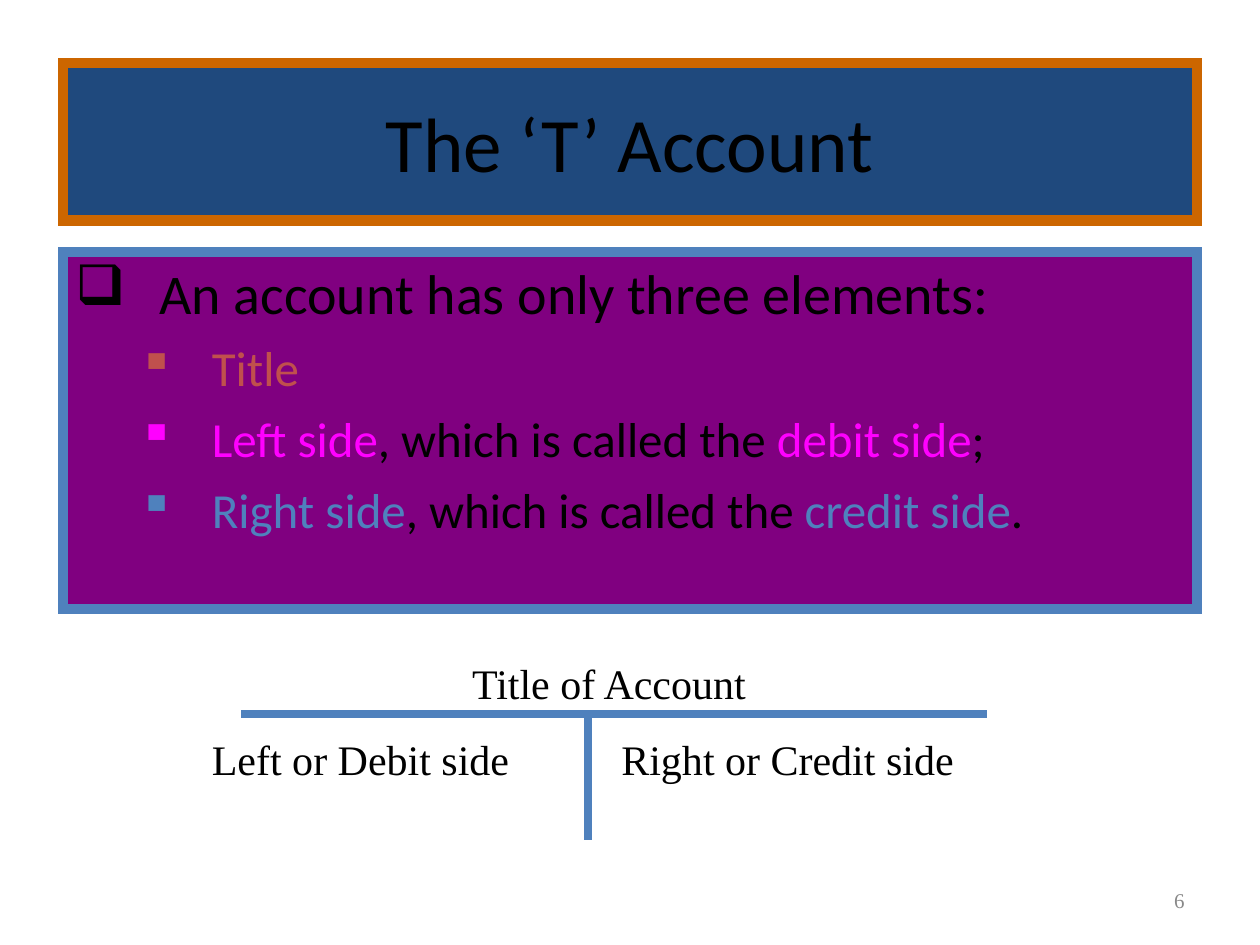
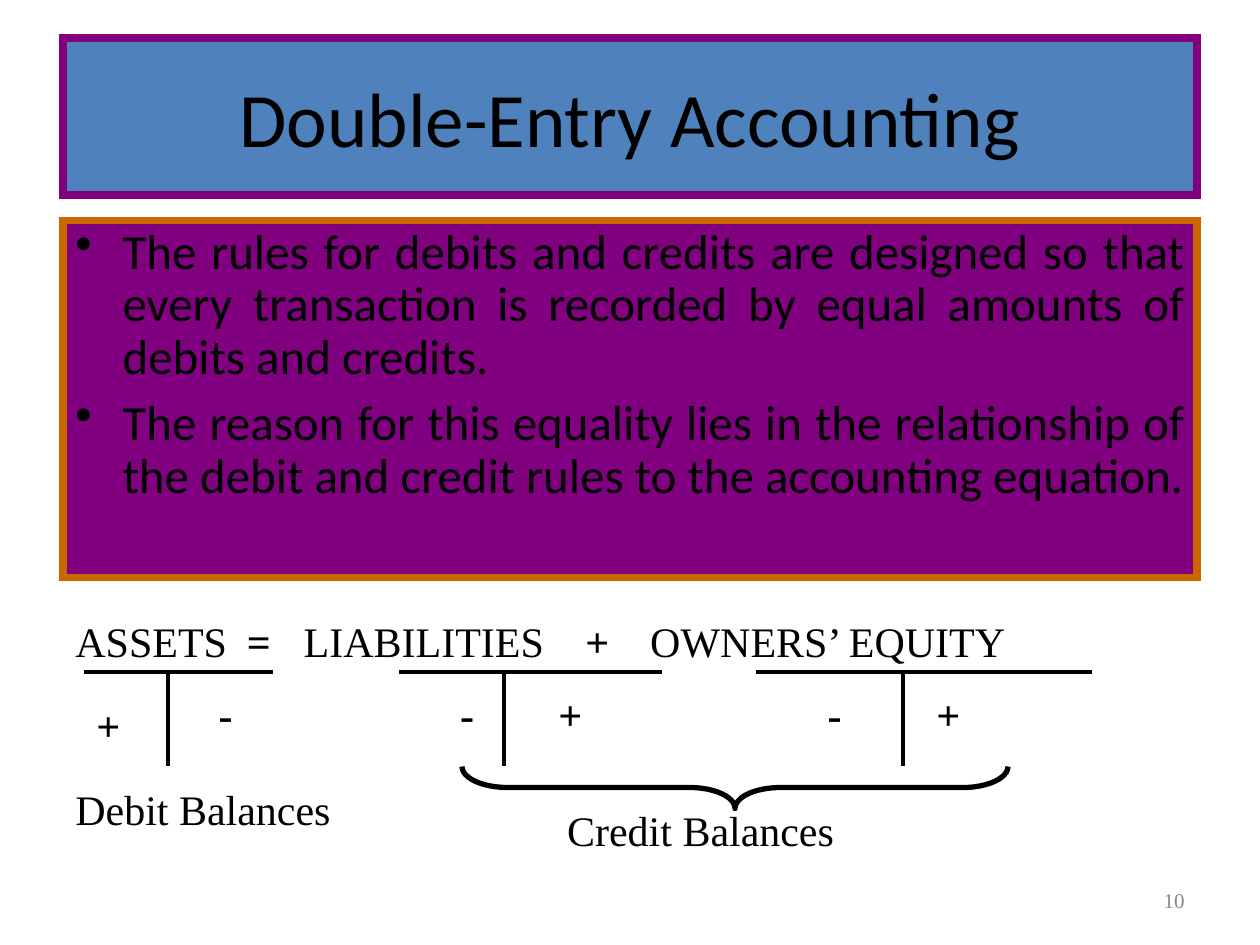
from lxml import etree
from pptx import Presentation
from pptx.dml.color import RGBColor
from pptx.enum import shapes, text
from pptx.oxml import ns
from pptx.util import Pt

BLACK = RGBColor(0x00, 0x00, 0x00)
NAVY = RGBColor(0x1F, 0x49, 0x7D)
BLUE = RGBColor(0x4F, 0x81, 0xBD)
PURPLE = RGBColor(0x80, 0x00, 0x80)
ORANGE = RGBColor(0xCC, 0x66, 0x00)
RED = RGBColor(0xC0, 0x50, 0x4D)
MAGENTA = RGBColor(0xFF, 0x00, 0xFF)
GREY = RGBColor(0x89, 0x89, 0x89)
SANS, SERIF = "Calibri", "Times New Roman"
ALIGN = text.PP_ALIGN


def add_element(parent, tag, **attributes):
    values = {key: str(value) for key, value in attributes.items()}
    return etree.SubElement(parent, ns.qn(tag), values)


class Lesson:
    """Holds the shared style and the current slide of the accounting lesson."""

    left, width = 36, 648

    def __init__(self):
        self.deck = Presentation()
        self.deck.slide_width, self.deck.slide_height = Pt(720), Pt(540)
        self.page = None

    def start(self, title, top, fill, border, weight, number):
        self.page = self.deck.slides.add_slide(self.deck.slide_layouts[6])
        frame = self.panel(top, 90, fill, border, weight)
        frame.vertical_anchor = text.MSO_ANCHOR.MIDDLE
        self.paragraph(frame, [title], size=44, font=SANS, alignment=ALIGN.CENTER)
        self.label([str(number)], 516, 500, 168, 29, size=12, colour=GREY,
                   anchor=text.MSO_ANCHOR.MIDDLE, alignment=ALIGN.RIGHT)

    def panel(self, top, height, fill, border, weight):
        box = self.page.shapes.add_shape(
            shapes.MSO_SHAPE.RECTANGLE, Pt(self.left), Pt(top), Pt(self.width), Pt(height))
        box.shadow.inherit = False
        box.fill.solid()
        box.fill.fore_color.rgb = fill
        box.line.color.rgb = border
        box.line.width = Pt(weight)
        add_element(box.line._get_or_add_ln(), "a:miter", lim=800000)
        box.text_frame.vertical_anchor = text.MSO_ANCHOR.TOP
        return box.text_frame

    def label(self, spans, left, top, width, height=36,
              anchor=text.MSO_ANCHOR.TOP, **style):
        box = self.page.shapes.add_textbox(Pt(left), Pt(top), Pt(width), Pt(height))
        box.text_frame.word_wrap = True
        box.text_frame.vertical_anchor = anchor
        self.paragraph(box.text_frame, spans, **style)
        return box.text_frame

    def paragraph(self, frame, spans, size=24, font=SERIF, colour=BLACK, bold=False,
                  bullet=None, bullet_colour=BLACK, margin=0, hanging=0, tabs=(), **layout):
        fresh = len(frame.paragraphs) == 1 and not frame.paragraphs[0].runs
        para = frame.paragraphs[0] if fresh else frame.add_paragraph()
        if fresh:
            layout.pop("space_before", None)
        for name, value in {"alignment": ALIGN.LEFT, **layout}.items():
            setattr(para, name, value)
        properties = para._p.get_or_add_pPr()
        if bullet:
            properties.set("marL", str(Pt(margin)))
            properties.set("indent", str(-Pt(hanging)))
            add_element(add_element(properties, "a:buClr"), "a:srgbClr", val=bullet_colour)
            add_element(properties, "a:buChar", char=bullet)
        if tabs:
            stops = add_element(properties, "a:tabLst")
            for stop in tabs:
                add_element(stops, "a:tab", pos=Pt(stop), algn="l")
        for item in spans:
            words, changes = (item, {}) if isinstance(item, str) else item
            span = para.add_run()
            span.text = words
            look = {"name": font, "size": Pt(size), "bold": bold, "colour": colour, **changes}
            span.font.color.rgb = look.pop("colour")
            for name, value in look.items():
                setattr(span.font, name, value)

    def rule(self, x1, y1, x2, y2, colour, weight):
        line = self.page.shapes.add_connector(
            shapes.MSO_CONNECTOR.STRAIGHT, Pt(x1), Pt(y1), Pt(x2), Pt(y2))
        line.line.color.rgb = colour
        line.line.width = Pt(weight)
        add_element(line._element.spPr, "a:effectLst")

    def t_account(self, start, end, stem, top, depth, colour=BLACK, weight=2.25):
        self.rule(start, top, end, top, colour, weight)
        self.rule(stem, top, stem, top + depth, colour, weight)

    def brace(self, left, top, width, height):
        box = self.page.shapes.add_shape(
            shapes.MSO_SHAPE.RIGHT_BRACE, Pt(left), Pt(top), Pt(width), Pt(height))
        box.shadow.inherit = False
        box.rotation = 90
        box.adjustments[0] = 1.08
        box.fill.background()
        box.line.color.rgb = BLACK
        box.line.width = Pt(3)


def build_t_account(lesson):
    lesson.start("The ‘T’ Account", 36, NAVY, ORANGE, 6, 6)
    frame = lesson.panel(144, 204, PURPLE, BLUE, 6)
    lesson.paragraph(frame, ["An account has only three elements:"], size=32, font=SANS,
                     bullet="❑", margin=48, hanging=48)
    elements = [
        (RED, ["Title"]),
        (MAGENTA, ["Left side", ", which is called the ", "debit side", ";"]),
        (BLUE, ["Right side", ", which is called the ", "credit side", "."]),
    ]
    for colour, parts in elements:
        spans = [(part, {"colour": BLACK if index % 2 else colour})
                 for index, part in enumerate(parts)]
        lesson.paragraph(frame, spans, size=28, font=SANS, bullet="▪", bullet_colour=colour,
                         margin=78, hanging=42, space_before=Pt(7))
    frame = lesson.label(["Title of Account"], 114, 372, 468, 80, alignment=ALIGN.CENTER)
    lesson.paragraph(frame, ["Left or Debit side\tRight or Credit side"],
                     tabs=[234], space_before=Pt(15))
    lesson.t_account(138, 564, 336, 408, 72, BLUE, 4.5)


def build_double_entry(lesson):
    lesson.start("Double-Entry Accounting", 21.6, BLUE, PURPLE, 4.5, 10)
    frame = lesson.panel(126, 204, PURPLE, ORANGE, 4.5)
    for sentence in (
        "The rules for debits and credits are designed so that every transaction "
        "is recorded by equal amounts of debits and credits.",
        "The reason for this equality lies in the relationship of the debit and "
        "credit rules to the accounting equation.",
    ):
        lesson.paragraph(frame, [sentence], size=28, font=SANS, bullet="•", margin=27,
                         hanging=27, alignment=ALIGN.JUSTIFY, line_spacing=0.9,
                         space_before=Pt(7))
    strong = {"bold": True}
    lesson.label(["ASSETS\t", ("=", strong), "\tLIABILITIES\t", ("+", strong),
                  "\tOWNERS’ EQUITY"], 36, 348, 648, 42, tabs=[98, 130.5, 291.5, 328.5])
    accounts = [
        (48, 156, 96, (48, 396), 108),
        (228, 378, 288, (312, 390), 246),
        (432, 624, 516, (528, 390), 456),
    ]
    for start, end, stem, plus, minus in accounts:
        lesson.t_account(start, end, stem, 384, 54)
        lesson.label(["+"], *plus, 42, bold=True)
        lesson.label(["-"], minus, 390, 42, bold=True, alignment=ALIGN.CENTER)
    lesson.label(["Debit Balances"], 36, 444, 174)
    lesson.label(["Credit Balances"], 317, 456, 289)
    lesson.brace(408, 294, 24, 312)


def main():
    lesson = Lesson()
    build_t_account(lesson)
    build_double_entry(lesson)
    lesson.deck.save("out.pptx")


if __name__ == "__main__":
    main()
